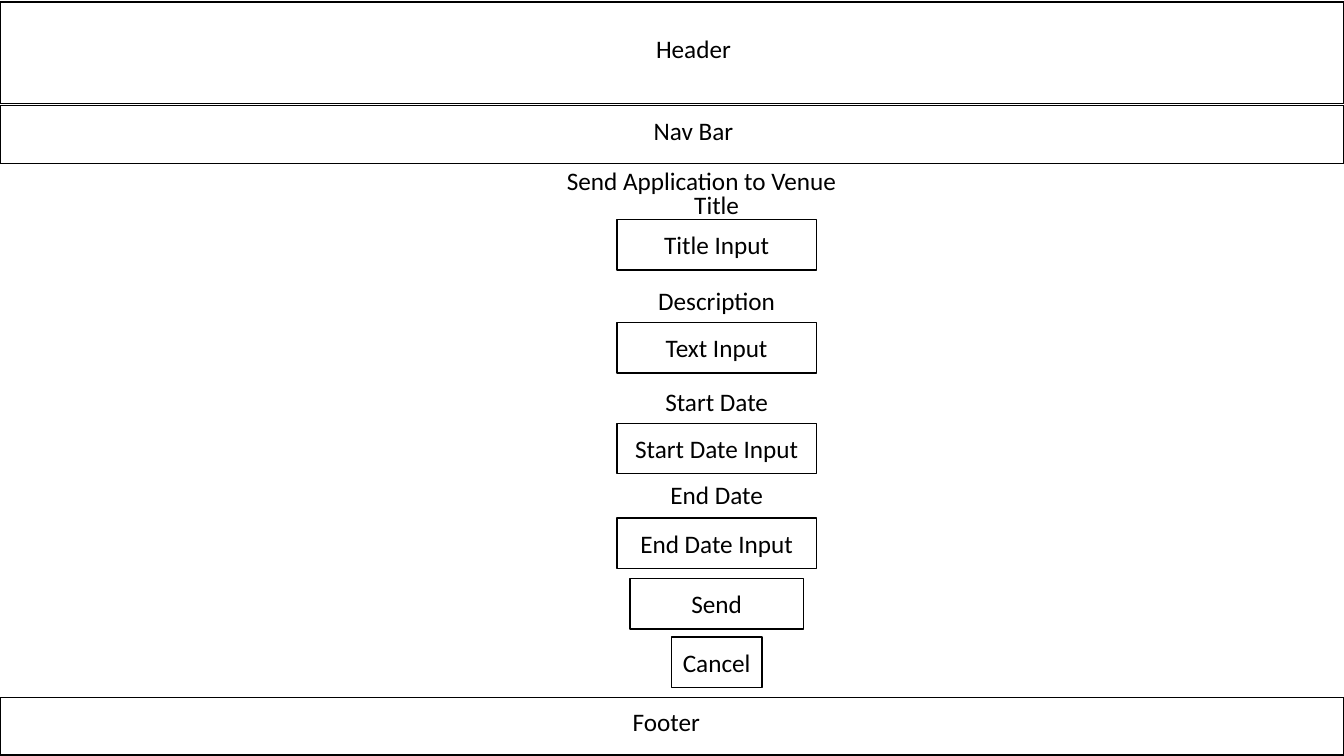
from dataclasses import dataclass

from pptx import Presentation
from pptx.dml.color import RGBColor
from pptx.enum.shapes import MSO_SHAPE as Shape
from pptx.enum.text import MSO_ANCHOR as Anchor, MSO_AUTO_SIZE as AutoSize, PP_ALIGN as Align
from pptx.util import Inches, Pt


@dataclass(frozen=True)
class Theme:
    ink: RGBColor = RGBColor(0, 0, 0)
    font: str = "Calibri"
    text_size: Pt = Pt(18)
    line_width: Pt = Pt(1)


THEME = Theme()
WIDTH, HEIGHT = Inches(13.33), Inches(7.5)
COLUMNS, ROWS = 40, 30
FORM_CENTER = 21.33
LABEL_WIDTH, LABEL_HEIGHT = 17.6, 1.6
INPUT_WIDTH, BUTTON_HEIGHT = 5.94, 2

# name, top row, height in rows, text center column, text top row
BARS = [
    ("Header", 0.08, 4.04, 20.64, 1.12),
    ("Nav Bar", 4.2, 2.28, 20.64, 4.36),
    ("Footer", 27.68, 2.28, 19.83, 27.84),
]
# label, label row, input text, input row
FIELDS = [
    ("Title", 7.32, "Title Input", 8.72),
    ("Description", 11.12, "Text Input", 12.8),
    ("Start Date", 15.12, "Start Date Input", 16.8),
    ("End Date", 18.84, "End Date Input", 20.56),
]
# text, row, width in columns
BUTTONS = [("Send", 22.96, 5.16), ("Cancel", 25.28, 2.7)]


def grid_frame(center, top, width, height):
    """Turn a center column, top row and size in grid units into lengths."""
    column, row = WIDTH / COLUMNS, HEIGHT / ROWS
    return (round((center - width / 2) * column), round(top * row),
            round(width * column), round(height * row))


def write(box, text, anchor):
    frame = box.text_frame
    frame.word_wrap = True
    frame.vertical_anchor = anchor
    para = frame.paragraphs[0]
    para.alignment = Align.CENTER
    span = para.add_run()
    span.text = text
    span.font.name = THEME.font
    span.font.size = THEME.text_size
    span.font.color.rgb = THEME.ink


def add_outline(page, center, top, width, height):
    box = page.shapes.add_shape(Shape.RECTANGLE, *grid_frame(center, top, width, height))
    box.shadow.inherit = False
    box.fill.background()
    box.line.color.rgb = THEME.ink
    box.line.width = THEME.line_width
    return box


def add_button(page, text, top, width):
    box = add_outline(page, FORM_CENTER, top, width, BUTTON_HEIGHT)
    write(box, text, Anchor.MIDDLE)


def add_label(page, text, center, top):
    box = page.shapes.add_textbox(*grid_frame(center, top, LABEL_WIDTH, LABEL_HEIGHT))
    write(box, text, Anchor.TOP)
    box.text_frame.auto_size = AutoSize.SHAPE_TO_FIT_TEXT


def set_title(page, text, center, top):
    title = page.shapes.title
    title.left, title.top, title.width, title.height = grid_frame(
        center, top, LABEL_WIDTH, LABEL_HEIGHT)
    write(title, text, Anchor.TOP)
    title.text_frame.auto_size = AutoSize.NONE


def main():
    deck = Presentation()
    deck.slide_width, deck.slide_height = WIDTH, HEIGHT
    page = deck.slides.add_slide(deck.slide_layouts.get_by_name("Title Only"))

    set_title(page, "Send Application to Venue", 20.88, 6.36)
    for name, top, height, text_center, text_top in BARS:
        add_outline(page, COLUMNS / 2, top, COLUMNS, height)
        add_label(page, name, text_center, text_top)
    for label, label_top, hint, input_top in FIELDS:
        add_label(page, label, FORM_CENTER, label_top)
        add_button(page, hint, input_top, INPUT_WIDTH)
    for text, top, width in BUTTONS:
        add_button(page, text, top, width)

    deck.save("out.pptx")


if __name__ == "__main__":
    main()
